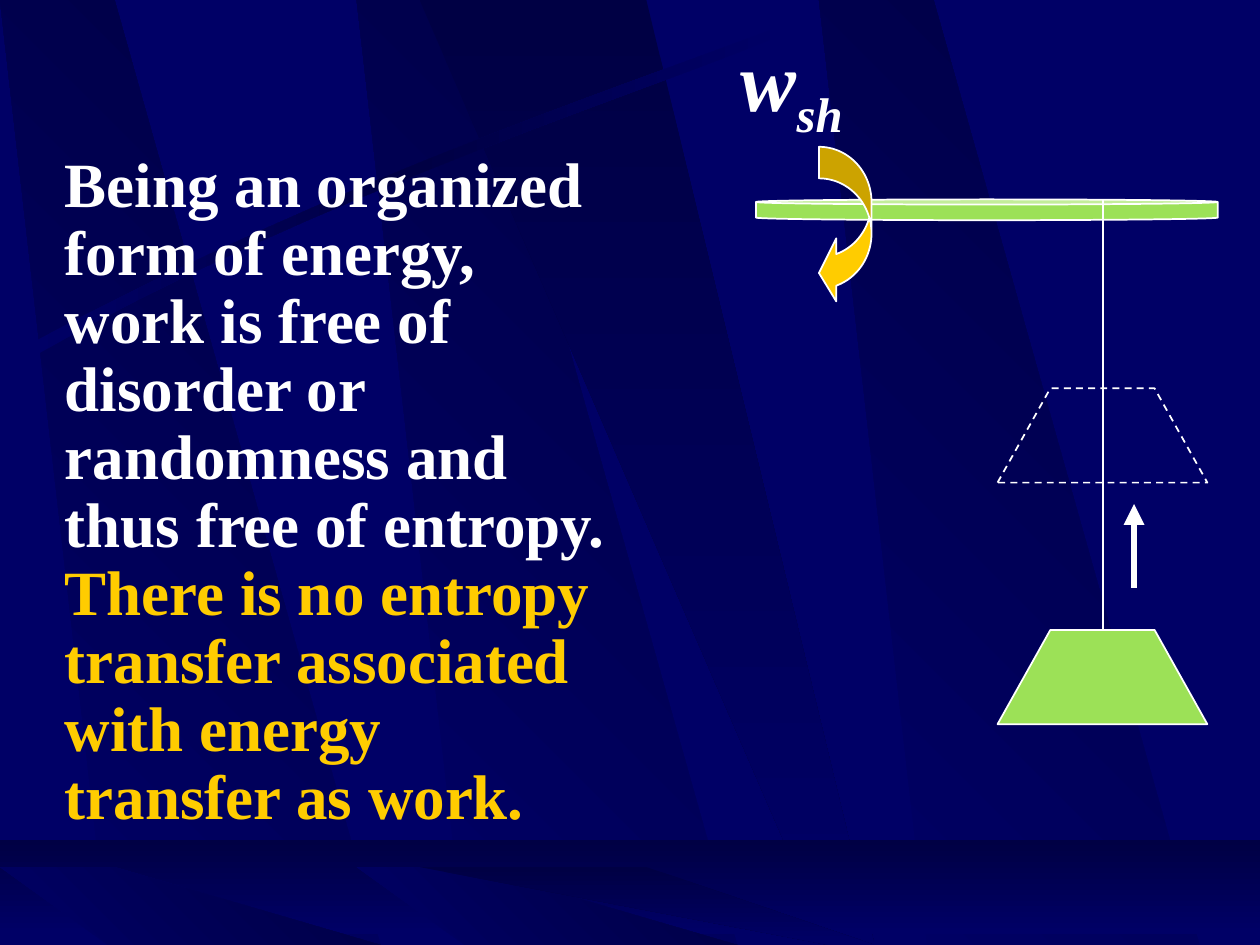
import copy

import lxml.etree
import pptx
import pptx.dml.color
import pptx.enum.dml
import pptx.enum.shapes
import pptx.enum.text
import pptx.oxml.ns
import pptx.util
from pptx.util import Cm, Pt

RGBColor = pptx.dml.color.RGBColor
SHAPE = pptx.enum.shapes.MSO_SHAPE
ALIGN = pptx.enum.text.PP_ALIGN
qn = pptx.oxml.ns.qn

NAVY = RGBColor(0x00, 0x00, 0x66)
MIDNIGHT = RGBColor(0x00, 0x00, 0x44)
WHITE = RGBColor(0xFF, 0xFF, 0xFF)
GOLD = RGBColor(0xFF, 0xCC, 0x00)
GREEN = RGBColor(0x9C, 0xE1, 0x57)
FONT = "Times New Roman"


def shade(shape, colors, angle):
    """Give a borderless gradient; the angle runs counter-clockwise."""
    shape.shadow.inherit = False
    shape.line.fill.background()
    shape.fill.gradient()
    shape.fill.gradient_angle = angle
    stop_list = shape._element.spPr.find(".//" + qn("a:gsLst"))
    while len(stop_list) < len(colors):
        stop_list.append(copy.deepcopy(stop_list[0]))
    for index, (stop, color) in enumerate(zip(shape.fill.gradient_stops, colors)):
        stop.color.rgb = color
        stop.position = index / (len(colors) - 1)


def add_polygon(slide, points, colors, angle):
    corners = [(Cm(x), Cm(y)) for x, y in points]
    builder = slide.shapes.build_freeform(*corners[0])
    builder.add_line_segments(corners[1:], close=True)
    shade(builder.convert_to_shape(), colors, angle)


def add_beam(slide, left, top, bottom):
    points = [(left, top), (left + 2.31, top),
              (left + 7.67, bottom), (left + 2.18, bottom)]
    add_polygon(slide, points, (NAVY, MIDNIGHT), 45)


def add_wedge(slide, top, bottom):
    points = [(8.46, top), (13.03, top), (17.63, bottom), (16.71, bottom)]
    add_polygon(slide, points, (MIDNIGHT, NAVY), 270)


def curve(start, control_1, control_2, end, steps=16):
    """Return points along a cubic Bezier curve."""
    points = []
    for step in range(steps + 1):
        t = step / steps
        weights = ((1 - t) ** 3, 3 * t * (1 - t) ** 2, 3 * t * t * (1 - t), t ** 3)
        points.append(tuple(
            sum(weight * value for weight, value in zip(weights, axis))
            for axis in zip(start, control_1, control_2, end)))
    return points


def add_backdrop(slide):
    slide.background.fill.solid()
    slide.background.fill.fore_color.rgb = NAVY
    for left in (7.19, 0, 16.51):
        add_beam(slide, left, 0, 19.05)
    add_wedge(slide, 0, 19.05)
    streak = (curve((0.51, 6.98), (7.21, 3.4), (13.31, 1.5), (15.9, 0.46))
              + curve((15.98, 0.61), (13.41, 1.75), (6.45, 3.84), (0.58, 7.24)))
    add_polygon(slide, streak, (NAVY, MIDNIGHT, NAVY), 0)
    floor = slide.shapes.add_shape(
        SHAPE.RECTANGLE, Cm(0), Cm(16.93), Cm(25.4), Cm(1.9))
    shade(floor, (MIDNIGHT, NAVY), 270)
    for left in (7.19, 0):
        add_beam(slide, left, 17.48, 19.05)
    add_wedge(slide, 17.48, 19.05)


def add_part(slide, kind, left, top, width, height, adjustments, color=None):
    """Add a white-outlined part of the device, hollow when it has no colour."""
    part = slide.shapes.add_shape(kind, Cm(left), Cm(top), Cm(width), Cm(height))
    part.shadow.inherit = False
    for index, value in enumerate(adjustments):
        part.adjustments[index] = value
    if color is None:
        part.fill.background()
    else:
        part.fill.solid()
        part.fill.fore_color.rgb = color
    part.line.color.rgb = WHITE
    part.line.width = Pt(1)
    return part


def add_line(slide, x, start, end, width):
    line = slide.shapes.add_connector(
        pptx.enum.shapes.MSO_CONNECTOR.STRAIGHT, Cm(x), Cm(start), Cm(x), Cm(end))
    line.line.color.rgb = WHITE
    line.line.width = Pt(width)
    lxml.etree.SubElement(line._element.spPr, qn("a:effectLst"))
    return line


def add_arrowhead(line):
    outline = line.line._get_or_add_ln()
    lxml.etree.SubElement(outline, qn("a:tailEnd"), type="triangle")


def add_text(slide, left, top, width, height, pieces, size, wrap=True):
    """Add one paragraph of bold (text, colour) pieces."""
    box = slide.shapes.add_textbox(Cm(left), Cm(top), Cm(width), Cm(height))
    box.text_frame.word_wrap = wrap
    para = box.text_frame.paragraphs[0]
    for text, color in pieces:
        span = para.add_run()
        span.text = text
        span.font.name = FONT
        span.font.size = Pt(size)
        span.font.bold = True
        span.font.color.rgb = color
    return para


def add_work_symbol(slide):
    para = add_text(slide, 14.6, 0.43, 2.72, 2.29,
                    [("w", WHITE), ("sh", WHITE)], 48, wrap=False)
    para.alignment = ALIGN.CENTER
    para.space_before = Pt(9.6)
    for span in para.runs:
        span.font.italic = True
    para.runs[1].font._element.set("baseline", "-25000")


def main():
    deck = pptx.Presentation()
    deck.slide_width, deck.slide_height = Cm(25.4), Cm(19.05)
    slide = deck.slides.add_slide(deck.slide_layouts[6])
    add_backdrop(slide)

    statement = add_text(slide, 1.06, 2.96, 11.43, 13.97, [
        ("Being an organized form of energy, work is free of disorder or "
         "randomness and thus free of entropy. ", WHITE),
        ("There is no entropy transfer associated with energy transfer as work.",
         GOLD)], 36)
    statement.line_spacing = 0.9

    add_part(slide, SHAPE.CAN, 15.24, 4.02, 9.31, 0.42, [0.25], GREEN)
    add_line(slide, 22.23, 4.02, 12.7, 1)
    add_part(slide, SHAPE.TRAPEZOID, 20.11, 12.7, 4.23, 1.9, [0.56], GREEN)
    add_part(slide, SHAPE.CURVED_LEFT_ARROW, 16.51, 2.96, 1.06, 3.18,
             [0.6, 1.2, 0.33], GOLD)
    add_work_symbol(slide)
    raised_weight = add_part(slide, SHAPE.TRAPEZOID, 20.11, 7.83, 4.23, 1.9, [0.56])
    raised_weight.line.dash_style = pptx.enum.dml.MSO_LINE.DASH
    add_arrowhead(add_line(slide, 22.86, 11.85, 10.16, 4))

    deck.save("out.pptx")


if __name__ == "__main__":
    main()
